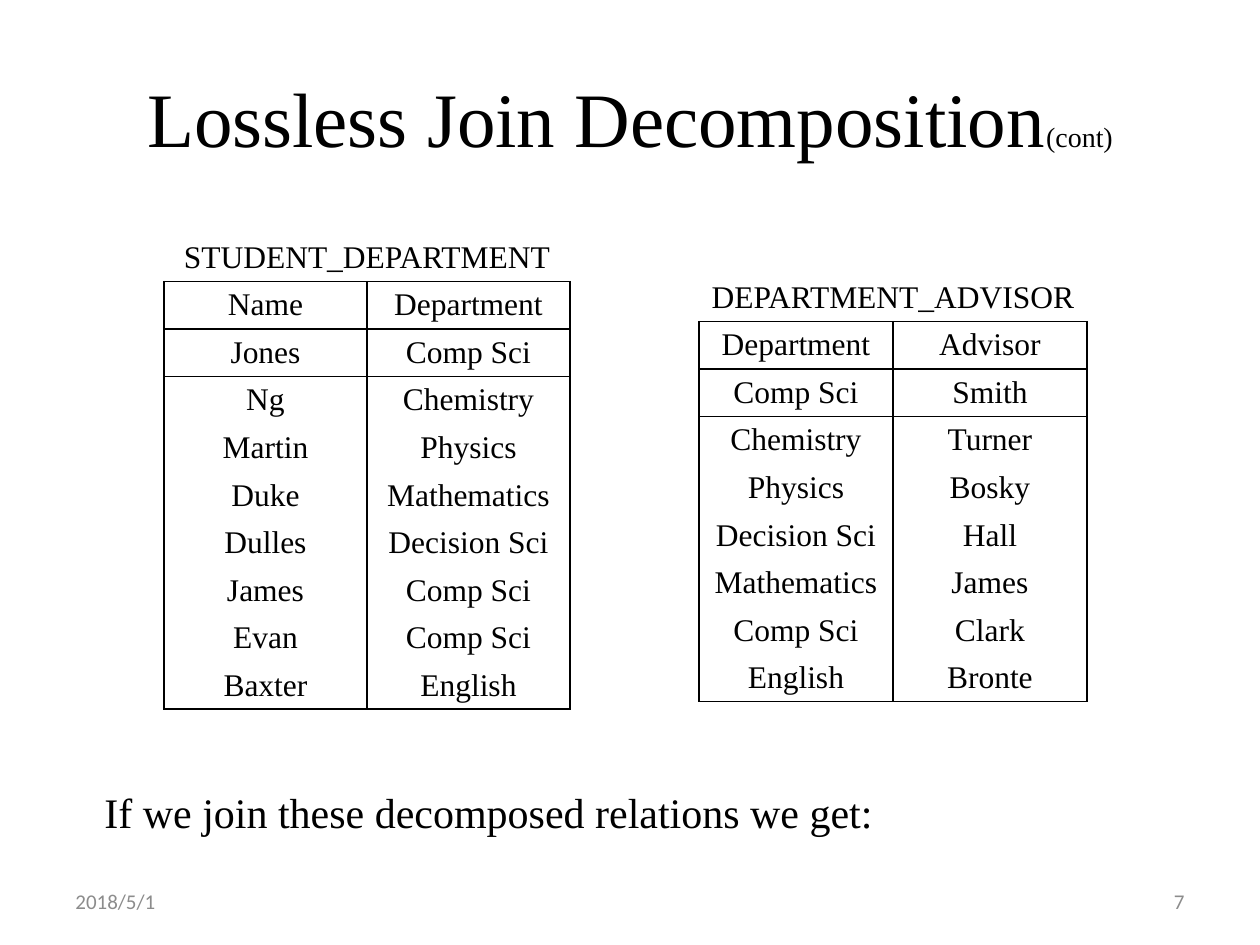
import pptx
import pptx.dml.color
import pptx.enum.text
import pptx.oxml
import pptx.oxml.ns
import pptx.util
from dataclasses import dataclass

PX = 914400 // 126
ALIGN = pptx.enum.text.PP_ALIGN
ANCHOR = pptx.enum.text.MSO_ANCHOR


@dataclass(frozen=True)
class Theme:
    ink: str = "000000"
    faint: str = "8C8C8C"
    serif: str = "Times New Roman"
    sans: str = "Calibri"
    head: int = 44
    tail: int = 16
    body: int = 24
    cell: int = 18
    foot: int = 12


THEME = Theme()

MAJORS = [
    ("Name", "Department"),
    ("Jones", "Comp Sci"),
    ("Ng", "Chemistry"),
    ("Martin", "Physics"),
    ("Duke", "Mathematics"),
    ("Dulles", "Decision Sci"),
    ("James", "Comp Sci"),
    ("Evan", "Comp Sci"),
    ("Baxter", "English"),
]
GUIDES = [
    ("Department", "Advisor"),
    ("Comp Sci", "Smith"),
    ("Chemistry", "Turner"),
    ("Physics", "Bosky"),
    ("Decision Sci", "Hall"),
    ("Mathematics", "James"),
    ("Comp Sci", "Clark"),
    ("English", "Bronte"),
]


def apply(item, form):
    for key, value in form.items():
        setattr(item, key, value)


def write(para, text, size, face=THEME.serif, color=THEME.ink):
    run = para.add_run()
    run.text = text
    apply(run.font, {"size": pptx.util.Pt(size), "name": face, "bold": False})
    run.font.color.rgb = pptx.dml.color.RGBColor.from_string(color)


def label(slide, area, runs, form, align=ALIGN.LEFT, space=0):
    box = slide.shapes.add_textbox(*(n * PX for n in area))
    frame = box.text_frame
    apply(frame, {"word_wrap": True, **form})
    para = frame.paragraphs[0]
    apply(para, {"alignment": align, "space_before": pptx.util.Pt(space)})
    for run in runs:
        write(para, *run)


def border(cell, sides):
    props = cell._tc.get_or_add_tcPr()
    for side in "LRTB":
        paint = "<a:noFill/>"
        if side in sides:
            paint = f'<a:solidFill><a:srgbClr val="{THEME.ink}"/></a:solidFill>'
        props.append(pptx.oxml.parse_xml(
            f'<a:ln{side} {pptx.oxml.ns.nsdecls("a")} w="12700">{paint}</a:ln{side}>'))
    cell.fill.background()


def sides(row, last):
    if row == 0:
        return "B"
    if row == 1:
        return "LRTB"
    if row == 2:
        return "LRTB"
    if row == 3:
        return "LRT"
    return "LRB" if row == last else "LR"


def relation(slide, left, top, width, name, rows):
    lines = [(name, ""), *rows]
    high = 47
    area = (left, top, 2 * width, high * len(lines))
    table = slide.shapes.add_table(len(lines), 2, *(n * PX for n in area)).table
    apply(table, {"first_row": False, "horz_banding": False})
    table.cell(0, 0).merge(table.cell(0, 1))
    for row, line in enumerate(lines):
        for col, text in enumerate(line):
            cell = table.cell(row, col)
            border(cell, sides(row, len(rows)))
            if text:
                para = cell.text_frame.paragraphs[0]
                para.alignment = ALIGN.CENTER
                write(para, text, THEME.cell)


def main():
    deck = pptx.Presentation()
    apply(deck, {"slide_width": 1260 * PX, "slide_height": 945 * PX})
    slide = deck.slides.add_slide(deck.slide_layouts[6])
    middle = {"vertical_anchor": ANCHOR.MIDDLE}
    relation(slide, 164, 234, 203, "STUDENT_DEPARTMENT", MAJORS)
    relation(slide, 699, 274, 194, "DEPARTMENT_ADVISOR", GUIDES)
    label(slide, (92, 780, 1111, 102),
          [("If we join these decomposed relations we get:", THEME.body)],
          {"vertical_anchor": ANCHOR.TOP}, space=3)
    label(slide, (63, 38, 1134, 157),
          [("Lossless Join Decomposition", THEME.head), ("(cont)", THEME.tail)],
          middle, ALIGN.CENTER)
    for left, text, align in ((63, "2018/5/1", ALIGN.LEFT), (903, "7", ALIGN.RIGHT)):
        label(slide, (left, 876, 294, 50),
              [(text, THEME.foot, THEME.sans, THEME.faint)], middle, align)
    deck.save("out.pptx")


if __name__ == "__main__":
    main()
